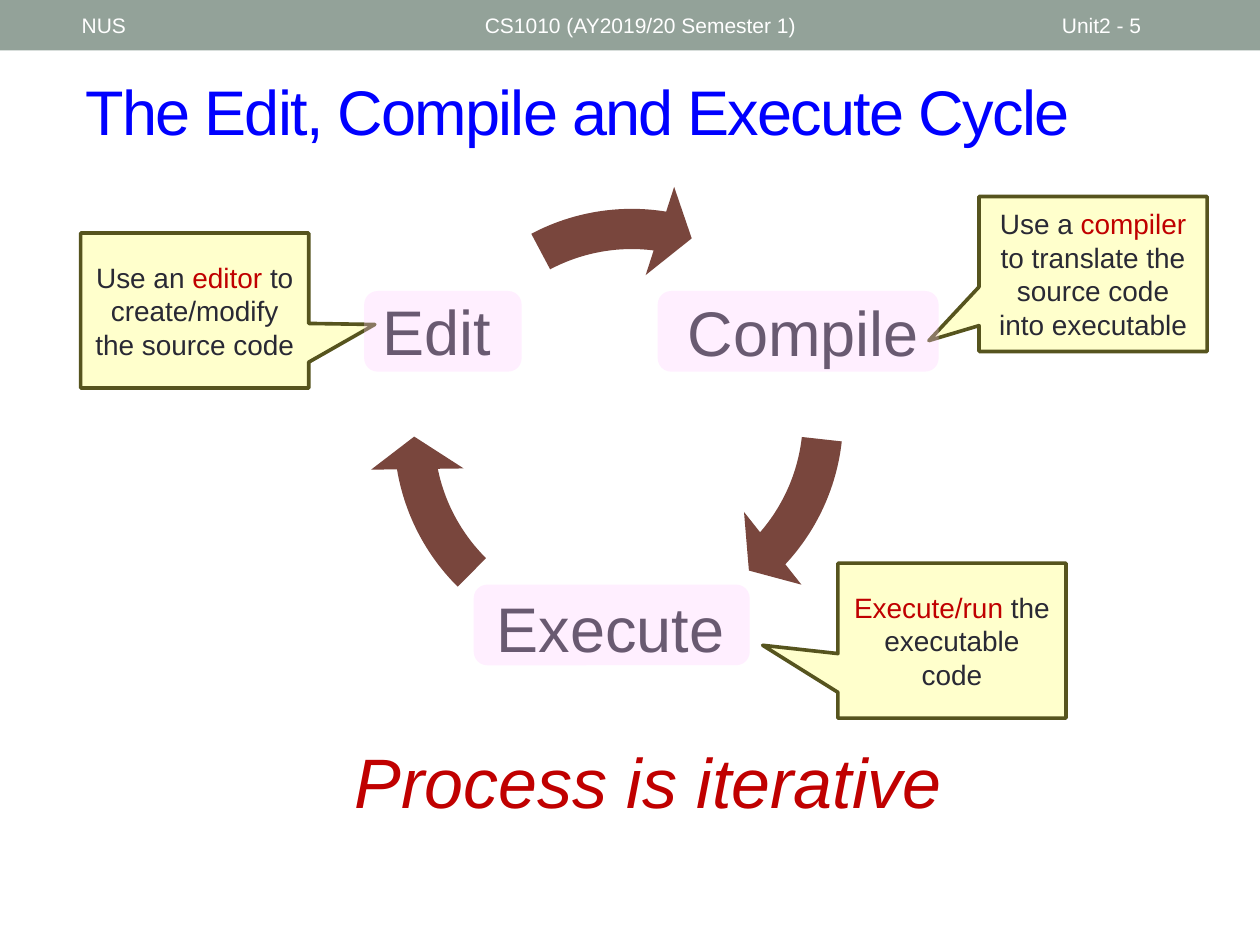
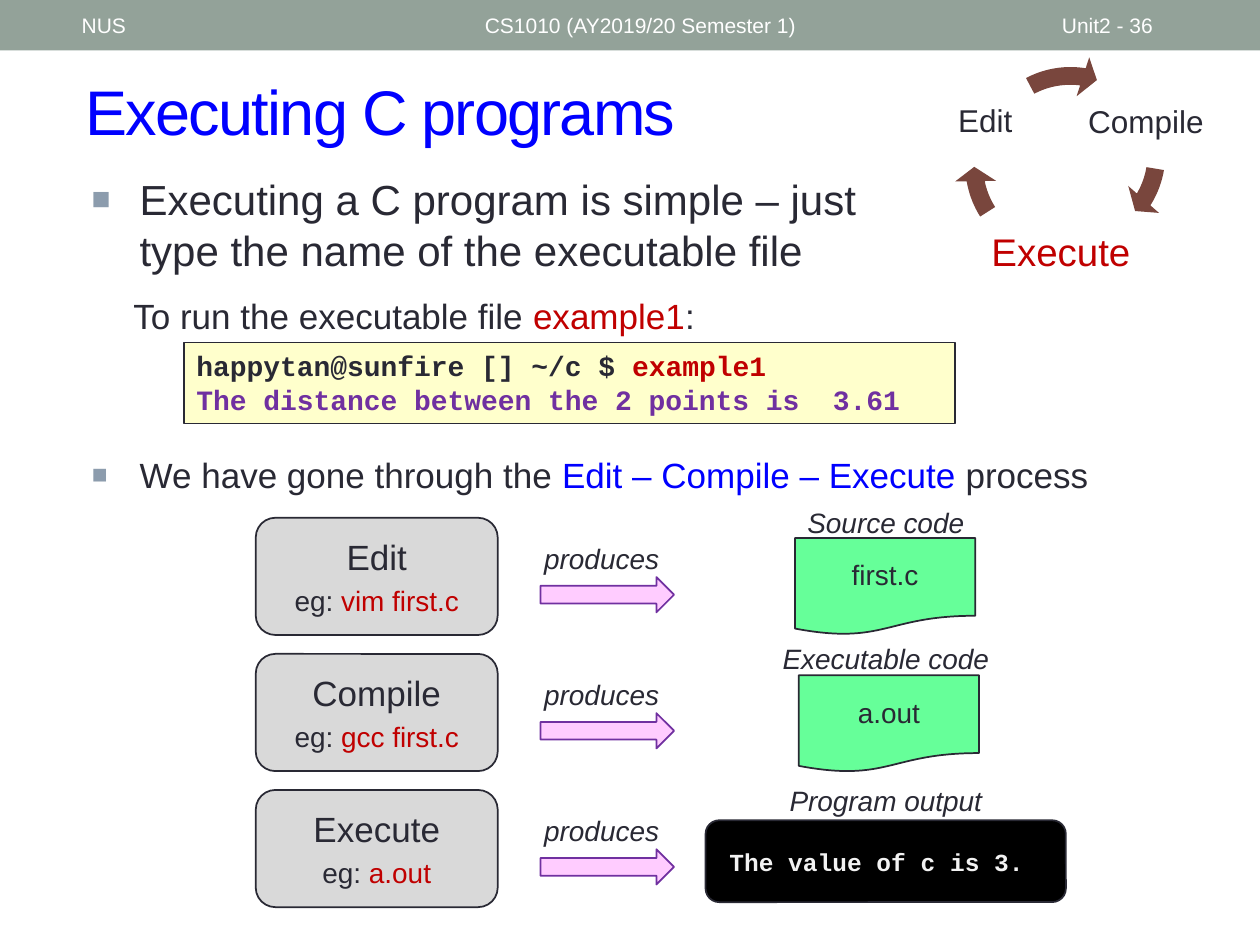
from lxml.etree import SubElement
from pptx import Presentation
from pptx.dml.color import RGBColor
from pptx.enum.shapes import MSO_SHAPE as Kind
from pptx.enum.text import MSO_ANCHOR as Anchor, PP_ALIGN as Align
from pptx.oxml.ns import qn
from pptx.util import Pt

PX = 9144  # EMU per px, 100 px to the inch

WHITE = RGBColor(0xFF, 0xFF, 0xFF)
BLACK = RGBColor(0x00, 0x00, 0x00)
INK = RGBColor(0x29, 0x29, 0x34)
SAGE = RGBColor(0x93, 0xA2, 0x99)
BLUE = RGBColor(0x00, 0x00, 0xFF)
RED = RGBColor(0xC0, 0x00, 0x00)
PURPLE = RGBColor(0x70, 0x30, 0xA0)
BROWN = RGBColor(0x79, 0x46, 0x3D)
OLIVE = RGBColor(0x56, 0x54, 0x1E)
CREAM = RGBColor(0xFF, 0xFF, 0xCC)
PINK = RGBColor(0xFF, 0xCC, 0xFF)
GREEN = RGBColor(0x66, 0xFF, 0x99)
GREY = RGBColor(0xD9, 0xD9, 0xD9)
PALE = RGBColor(0xF2, 0xF2, 0xF2)
SANS, MONO = "Arial", "Courier New"


def place(slide, kind, box, fill=None, line=None, weight=1, adjust=()):
    """Add a preset shape, or a text box when kind is None; box is in px."""
    left, top, width, height = (round(n * PX) for n in box)
    if kind is None:
        return slide.shapes.add_textbox(left, top, width, height)
    shape = slide.shapes.add_shape(kind, left, top, width, height)
    shape.shadow.inherit = False
    shape.fill.solid()
    shape.fill.fore_color.rgb = fill
    if line is None:
        shape.line.fill.background()
    else:
        shape.line.color.rgb = line
        shape.line.width = Pt(weight)
    for i, value in enumerate(adjust):
        shape.adjustments[i] = value
    return shape


def write(shape, paragraphs, size, align=Align.LEFT, anchor=Anchor.TOP, face=SANS,
          bold=False, italic=False, inset=None, spacing=None, tracking=None, bullet=False):
    """Fill a shape with paragraphs, each a list of (text, colour) runs."""
    frame = shape.text_frame
    frame.word_wrap = True
    frame.vertical_anchor = anchor
    if inset is not None:
        frame.margin_left = frame.margin_right = inset * PX
        frame.margin_top = frame.margin_bottom = inset * PX
    for i, runs in enumerate(paragraphs):
        paragraph = frame.add_paragraph() if i else frame.paragraphs[0]
        paragraph.alignment = align
        if spacing:
            paragraph.line_spacing = spacing
        if bullet:
            props = paragraph._p.get_or_add_pPr()
            props.set("marL", str(38 * PX))
            props.set("indent", str(-38 * PX))
            SubElement(SubElement(props, qn("a:buClr")), qn("a:srgbClr"), val="8C9CAD")
            SubElement(props, qn("a:buSzPct"), val="75000")
            SubElement(props, qn("a:buFont"), typeface=SANS)
            SubElement(props, qn("a:buChar"), char="■")
        for text, colour in runs:
            run = paragraph.add_run()
            run.text = text
            font = run.font
            font.name, font.size = face, Pt(size)
            font.bold, font.italic = bold, italic
            font.color.rgb = colour
            if tracking:
                run._r.get_or_add_rPr().set("spc", str(tracking))


deck = Presentation()
deck.slide_width, deck.slide_height = 1000 * PX, 750 * PX
blank = deck.slide_layouts[6]
cycle_slide, running_slide = (deck.slides.add_slide(blank) for _ in range(2))

# Header band and title
for slide, title, number in [
    (cycle_slide, "The Edit, Compile and Execute Cycle", 5),
    (running_slide, "Executing C programs", 36),
]:
    place(slide, Kind.RECTANGLE, (0, 0, 1000, 40), SAGE)
    for text, left, width in [
        ("NUS", 55, 312),
        ("CS1010 (AY2019/20 Semester 1)", 375, 450),
        (f"Unit2 - {number}", 833, 117),
    ]:
        write(place(slide, None, (left, 2, width, 36)), [[(text, WHITE)]], 12,
              anchor=Anchor.MIDDLE)
    write(place(slide, None, (58, 50, 892, 75)), [[(title, BLUE)]], 36,
          anchor=Anchor.MIDDLE, tracking=-100)

# Cycle diagram: stage labels, then arrows with end and start angles in degrees
for slide, inset, diameter, stages, arrows in [
    (cycle_slide, 5, 383,
     [("Compile", 36, INK, (524, 186, 227, 162)),
      ("Execute", 36, INK, (373, 421, 223, 162)),
      ("Edit", 36, INK, (266, 185, 162, 162))],
     [(307, 140, 42.09, 6.35), (292, 153, 169.64, 134.76), (310, 145, 278.29, 242.14)]),
    (running_slide, 3, 169,
     [("Compile", 18, INK, (840, 62, 139, 72)),
      ("Execute", 22, RED, (783, 166, 118, 72)),
      ("Edit", 18, INK, (746, 61, 72, 72))],
     [(765, 38, 31.62, 9.54), (757, 47, 169.65, 147.59), (765, 44, 278.38, 242.13)]),
]:
    for stage, size, colour, box in stages:
        write(place(slide, None, box), [[(stage, colour)]], size, Align.CENTER,
              Anchor.MIDDLE, inset=inset, spacing=0.9)
    for left, top, end, start in arrows:
        place(slide, Kind.CIRCULAR_ARROW, (left, top, diameter, diameter), BROWN,
              adjust=(1 / 12, 9.6 * 0.6, end * 0.6, start * 0.6, 9.6 / 100))

# The cycle: remark, callouts and translucent highlights
write(place(cycle_slide, None, (252, 581, 525, 77)), [[("Process is iterative", RED)]],
      40, Align.CENTER, italic=True)

for left, top, pointer, runs in [
    (64, 185, (0.79, 0.09),
     [("Use an ", INK), ("editor ", RED), ("to create/modify the source code", INK)]),
    (777, 156, (-0.72, 0.43),
     [("Use a ", INK), ("compiler ", RED),
      ("to translate the source code into executable", INK)]),
    (665, 447, (-0.83, 0.03),
     [("Execute/run ", RED), ("the executable code", INK)]),
]:
    callout = place(cycle_slide, Kind.RECTANGULAR_CALLOUT, (left, top, 181, 123),
                    CREAM, OLIVE, 2.08, pointer)
    write(callout, [runs], 16, Align.CENTER, Anchor.MIDDLE)

for left, top, width in [(289, 231, 125), (522, 231, 223), (376, 464, 219)]:
    highlight = place(cycle_slide, Kind.ROUNDED_RECTANGLE, (left, top, width, 64), PINK)
    tint = highlight._element.spPr.find(qn("a:solidFill"))[0]
    SubElement(tint, qn("a:alpha"), val="30000")

# Running a program: bullets and terminal session
write(place(running_slide, None, (63, 133, 687, 95)),
      [[("Executing a C program is simple – just type the name of the executable file", INK)]],
      24, bullet=True)
terminal = place(running_slide, Kind.RECTANGLE, (146, 272, 612, 64), CREAM, INK, 0.75)
write(terminal,
      [[("happytan@sunfire [] ~/c $ ", INK), ("example1", RED)],
       [("The distance between the 2 points is  3.61", PURPLE)]],
      16, face=MONO, bold=True)
write(place(running_slide, None, (96, 229, 495, 44)),
      [[("To run the executable file ", INK), ("example1", RED), (":", INK)]], 20)
write(place(running_slide, None, (63, 355, 885, 56)),
      [[("We have gone through the ", INK), ("Edit – Compile – Execute ", BLUE),
        ("process", INK)]], 20, bullet=True)

# Steps and what each one produces
for row, (step, command, product, caption_top) in enumerate([
    ("Edit", "vim first.c", "Source code", 396),
    ("Compile", "gcc first.c", "Executable code", 504),
    ("Execute", "a.out", "Program output", 617),
]):
    top = 411 + 108 * row
    place(running_slide, Kind.ROUNDED_RECTANGLE, (203, top, 192, 93), GREY, INK)
    write(place(running_slide, None, (203, top + 9, 192, 44)), [[(step, INK)]], 20,
          Align.CENTER)
    write(place(running_slide, None, (203, top + 47, 192, 37)),
          [[("eg: ", INK), (command, RED)]], 16, Align.CENTER)
    place(running_slide, Kind.RIGHT_ARROW, (429, top + 47, 106, 28), PINK, PURPLE)
    for text, box in [("produces", (419, top + 14, 117, 37)),
                      (product, (607, caption_top, 192, 37))]:
        write(place(running_slide, None, box), [[(text, INK)]], 16, Align.CENTER,
              italic=True)

for file_name, left, top in [("first.c", 631, 427), ("a.out", 634, 536)]:
    place(running_slide, Kind.FLOWCHART_DOCUMENT, (left, top, 143, 77), GREEN, INK)
    write(place(running_slide, None, (left, top + 11, 143, 37)), [[(file_name, INK)]],
          16, Align.CENTER)

place(running_slide, Kind.ROUNDED_RECTANGLE, (560, 651, 286, 65), BLACK, INK)
write(place(running_slide, None, (569, 667, 269, 34)), [[("The value of c is 3.", PALE)]],
      14, face=MONO, bold=True)

deck.save("out.pptx")
